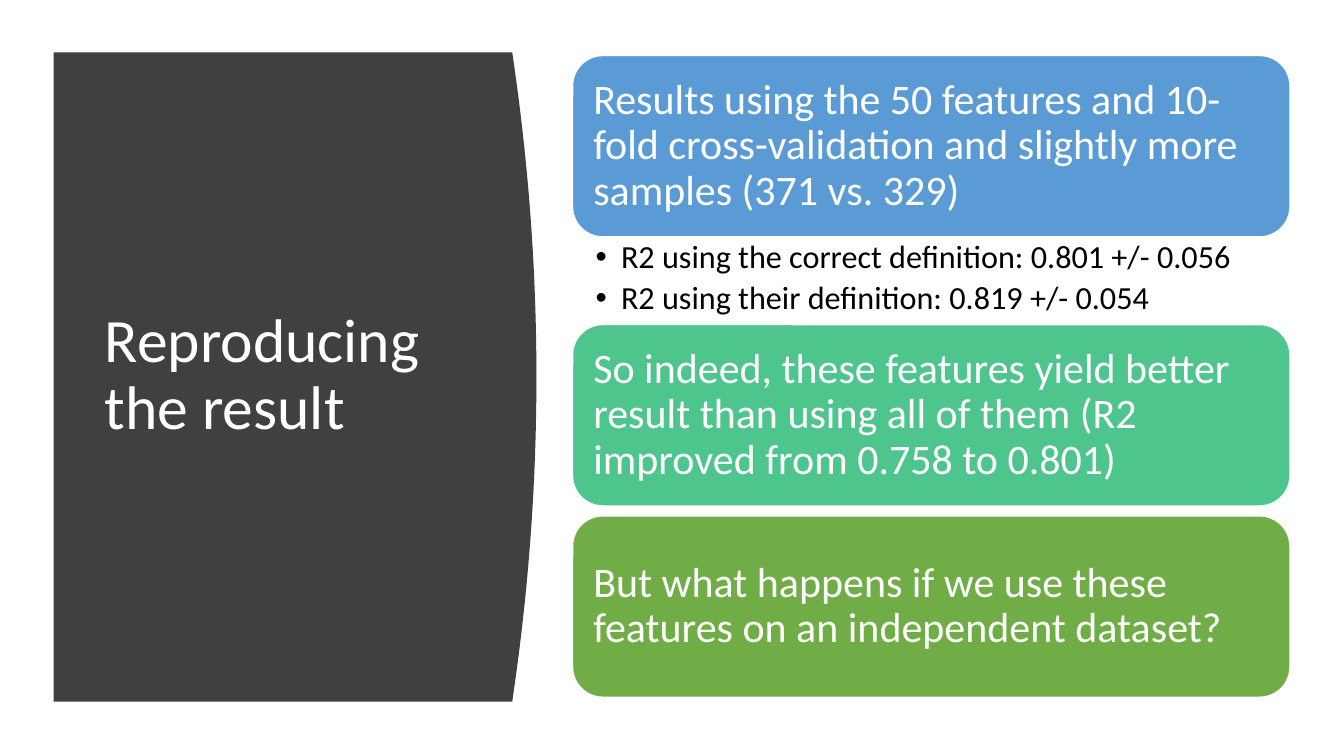
from lxml import etree
from pptx import Presentation, util as u
from pptx.dml.color import RGBColor
from pptx.enum import shapes, text
from pptx.oxml.ns import qn

Cm = u.Cm
COLORS = {"panel": "404040", "blue": "5B9BD5", "teal": "4DC58D",
          "green": "70AD47", "white": "FFFFFF", "black": "000000"}
FONT = "Calibri"
CARD_HEIGHT, LIST_HEIGHT, CARD_GAP = 4.57, 2.21, 0.25

FINDINGS = [
    ("Results using the 50 features and 10-fold cross-validation and "
     "slightly more samples (371 vs. 329)", "blue",
     ["R2 using the correct definition: 0.801 +/- 0.056",
      "R2 using their definition: 0.819 +/- 0.054"]),
    ("So indeed, these features yield better result than using all of them "
     "(R2 improved from 0.758 to 0.801)", "teal", []),
    ("But what happens if we use these features on an independent dataset?",
     "green", []),
]


def color(name):
    return RGBColor.from_string(COLORS[name])


def write(holder, lines, size, ink="white", anchor=text.MSO_ANCHOR.MIDDLE,
          insets=(0.25, 0.13), after=0, bullet=False):
    """Fill a shape with formatted paragraphs; insets are (sides, ends) in cm."""
    frame = holder.text_frame
    frame.word_wrap = True
    frame.auto_size = text.MSO_AUTO_SIZE.NONE
    frame.vertical_anchor = anchor
    frame.margin_left = frame.margin_right = Cm(insets[0])
    frame.margin_top = frame.margin_bottom = Cm(insets[1])
    frame.text = "\n".join(lines)
    for line in frame.paragraphs:
        line.alignment = text.PP_ALIGN.LEFT
        line.line_spacing = 0.9
        line.space_before, line.space_after = u.Pt(0), u.Pt(after)
        font = line.runs[0].font
        font.name, font.size = FONT, u.Pt(size)
        font.color.rgb = color(ink)
        if bullet:
            line.level = 1
            props = line._p.get_or_add_pPr()
            props.set("marL", str(Cm(0.64)))
            props.set("indent", str(-Cm(0.64)))
            etree.SubElement(props, qn("a:buFont"), typeface="Arial")
            etree.SubElement(props, qn("a:buChar"), char="•")


def place(holder, left, top, width, height):
    holder.left, holder.top = Cm(left), Cm(top)
    holder.width, holder.height = Cm(width), Cm(height)


def title_panel(slide, heading, left, top, width, height, bulge=0.61, steps=40):
    """Dark panel whose right edge bows outwards, with the title on it."""
    edge = left + width - bulge
    curve = []
    for step in range(steps + 1):
        t = step / steps
        curve.append((Cm(edge + bulge * 4 * t * (1 - t)), Cm(top + height * t)))
    outline = slide.shapes.build_freeform(Cm(left), Cm(top))
    outline.add_line_segments(curve + [(Cm(left), Cm(top + height))], close=True)
    panel = outline.convert_to_shape()
    panel.shadow.inherit = False
    panel.fill.solid()
    panel.fill.fore_color.rgb = color("panel")
    panel.line.fill.background()

    title = slide.shapes.title
    title.element.addprevious(panel.element)  # panel goes behind the title
    place(title, left + 1.04, top + 1.5, 9.5, height - 3.05)
    write(title, [heading], 44)


def finding_card(slide, finding, fill, left, top, width, height):
    card = slide.shapes.add_shape(shapes.MSO_SHAPE.ROUNDED_RECTANGLE,
                                  Cm(left), Cm(top), Cm(width), Cm(height))
    card.shadow.inherit = False
    card.fill.solid()
    card.fill.fore_color.rgb = color(fill)
    card.line.color.rgb = color("white")
    card.line.width = u.Pt(1)
    write(card, [finding], 30, insets=(0.3, 0.3))


def findings_column(slide, findings, left, top, width):
    """Stack the cards, each followed by its details or by a gap."""
    for finding, fill, details in findings:
        finding_card(slide, finding, fill, left, top, width, CARD_HEIGHT)
        top += CARD_HEIGHT
        if details:
            scores = slide.placeholders[1]
            place(scores, left, top, width, LIST_HEIGHT)
            write(scores, details, 23, ink="black", anchor=text.MSO_ANCHOR.TOP,
                  insets=(0.58, 0.1), after=4.6, bullet=True)
            top += LIST_HEIGHT
        else:
            top += CARD_GAP


def main():
    deck = Presentation()
    deck.slide_width, deck.slide_height = Cm(33.87), Cm(19.05)
    slide = deck.slides.add_slide(deck.slide_layouts[1])
    title_panel(slide, "Reproducing the result", 1.35, 1.32, 12.17, 16.36)
    findings_column(slide, FINDINGS, 14.43, 1.4, 18.08)
    deck.save("out.pptx")


if __name__ == "__main__":
    main()
